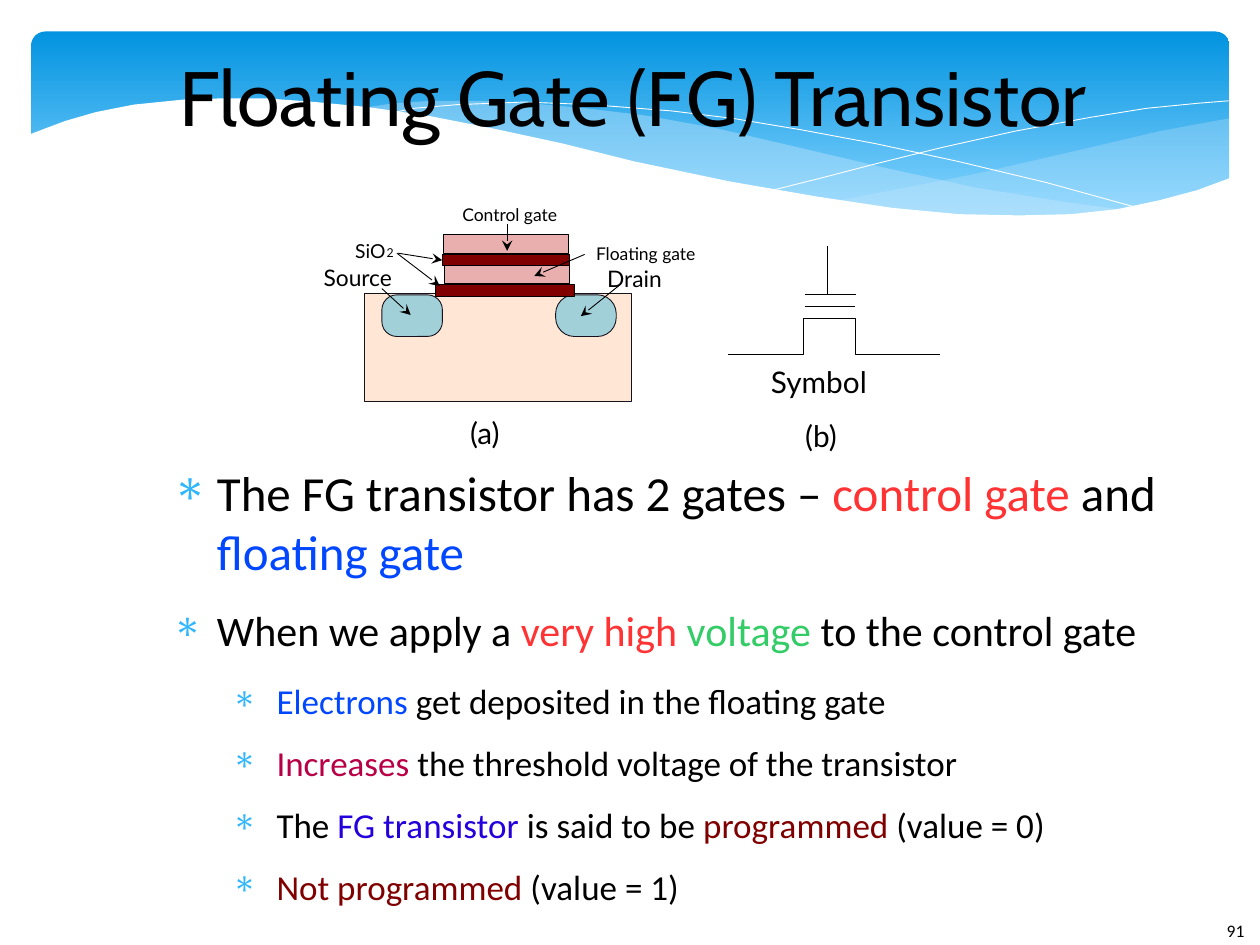
import pptx
import pptx.util
import pptx.dml.color
import pptx.enum.shapes
import pptx.enum.text
import pptx.oxml.ns
import lxml.etree

Pt = pptx.util.Pt
RGB = pptx.dml.color.RGBColor.from_string
SHAPE = pptx.enum.shapes.MSO_SHAPE
qn = pptx.oxml.ns.qn

THEME = {
    "black": "000000", "white": "FFFFFF", "outline": "15111D",
    "sky_top": "0293E0", "sky_bottom": "83D3FE", "wave": "C6E7FC", "bullet": "31B6FD",
    "wafer": "FFE6D5", "well": "A2D0D9", "oxide": "800000", "gate": "E9AFAF",
    "red": "FF3333", "blue": "0047FF", "green": "33CC66", "crimson": "B80047",
    "indigo": "2300DC", "maroon": "800000",
    "title_font": "Cabin", "body_font": "Calibri", "label_font": "Lato",
    "title": 44, "lead": 28, "point": 24, "detail": 20,
    "caption": 17, "region": 13, "formula": 11, "small": 10, "subscript": 7,
    "hairline": 0.5,
}

presentation = pptx.Presentation()
presentation.slide_width, presentation.slide_height = Pt(720), Pt(540)
slide = presentation.slides.add_slide(presentation.slide_layouts[1])
shapes = slide.shapes
title, body = slide.placeholders


def add_label(text, left, top, width, height, size, font="label_font"):
    box = shapes.add_textbox(Pt(left), Pt(top), Pt(width), Pt(height))
    frame = box.text_frame
    frame.word_wrap = True
    frame.margin_left = frame.margin_top = frame.margin_right = frame.margin_bottom = 0
    paragraph = frame.paragraphs[0]
    paragraph.text = text
    paragraph.font.name = THEME[font]
    paragraph.font.size = Pt(THEME[size])
    paragraph.font.color.rgb = RGB(THEME["black"])


def add_line(x1, y1, x2, y2, arrow=False):
    connector = shapes.add_connector(
        pptx.enum.shapes.MSO_CONNECTOR.STRAIGHT, Pt(x1), Pt(y1), Pt(x2), Pt(y2))
    connector.line.color.rgb = RGB(THEME["black"])
    connector.line.width = Pt(THEME["hairline"])
    if arrow:
        lxml.etree.SubElement(connector.line._get_or_add_ln(), qn("a:tailEnd"), type="stealth")
    lxml.etree.SubElement(connector._element.spPr, qn("a:effectLst"))
    return connector


# Banner
banner = shapes.add_shape(SHAPE.ROUNDED_RECTANGLE, Pt(18), Pt(18), Pt(684.5), Pt(112.5))
banner.adjustments[0] = 0.07
banner.shadow.inherit = False
banner.line.fill.background()
banner.fill.gradient()
banner.fill.gradient_angle = 270
for stop, color, position in zip(banner.fill.gradient_stops, ("sky_top", "sky_bottom"), (0, 0.9)):
    stop.color.rgb = RGB(THEME[color])
    stop.position = position

right_wave = [
    (702, 67.7), (663, 74.9), (620, 85), (561, 98.6), (525, 105.8), (476, 115.2),
    (508, 118.8), (536, 121.7), (562, 123.8), (593, 123.8), (621, 122.4), (652, 117.4),
    (678, 110.9), (703, 101.5), (703, 67.7)]
middle_wave = [
    (643, 120.2), (602.6, 114.5), (558, 107.3), (508.3, 96.5), (452.9, 83.5), (409.7, 73.4),
    (370, 66.2), (334.8, 61.9), (302.4, 59), (273.6, 57.6), (247.7, 57.6), (225.4, 59),
    (205.9, 61.9), (232.6, 64.8), (260.6, 69.8), (290.9, 76.3), (323.3, 83.5), (381.6, 97.2),
    (420.5, 105.1), (456.5, 112.3), (489.6, 117.4), (519.8, 121), (547.9, 123.1),
    (573, 124.6), (596, 124.6), (617, 123.1)]
falling_line = [
    (222.5, 64.8), (236.2, 61.9), (261.4, 59.8), (299.5, 58.3), (337.7, 59.8), (383.8, 63.4),
    (419, 67.7), (457.9, 74.2), (500.4, 82.1), (547.2, 92.2), (598.3, 104.4), (653, 119.5)]
rising_line = [
    (441.4, 108.7), (470.2, 101.5), (500.4, 93.6), (538.6, 84.2), (580.3, 74.9),
    (623.5, 67), (655.2, 61.9), (684.7, 59), (702, 57.6)]
page_edge = [
    (703.4, 101.5), (684, 108.7), (662.4, 114.5), (638.6, 119.5), (612, 122.4), (582.5, 123.1),
    (547.9, 122.4), (509.8, 118.8), (466.6, 112.3), (416.9, 103.7), (362.2, 92.2),
    (321.8, 82.1), (281.5, 73.4), (244.8, 66.2), (210.2, 61.2), (180, 58.3), (151.9, 56.2),
    (127.4, 56.2), (105.1, 56.9), (76.3, 59.8), (54.7, 64.1), (37.4, 69.1), (25.9, 73.4),
    (16.6, 77), (16.6, 161.3), (703.4, 161.3)]
symbol_channel = [
    (416.2, 202.6), (459.2, 202.6), (459.2, 181.9), (488.9, 181.9), (488.9, 202.6), (537.1, 202.6)]

# Points, fill, opacity in percent, line
outlines = [
    (right_wave, "wave", 29, None),
    (middle_wave, "wave", 40, None),
    (falling_line, None, 100, "white"),
    (rising_line, None, 100, "white"),
    (page_edge, "white", 100, None),
    (symbol_channel, None, 100, "black"),
]
for points, fill, opacity, line in outlines:
    vertices = [(Pt(x), Pt(y)) for x, y in points]
    builder = shapes.build_freeform(*vertices[0])
    builder.add_line_segments(vertices[1:], close=fill is not None)
    outline = builder.convert_to_shape()
    outline.shadow.inherit = False
    if fill:
        outline.fill.solid()
        outline.fill.fore_color.rgb = RGB(THEME[fill])
        color_element = outline._element.spPr.find(".//" + qn("a:srgbClr"))
        lxml.etree.SubElement(color_element, qn("a:alpha"), val=str(opacity * 1000))
        outline.line.fill.background()
    else:
        outline.fill.background()
        outline.line.color.rgb = RGB(THEME[line])
        outline.line.width = Pt(THEME["hairline"])

# Title and list stand in front of the banner
for placeholder, left, top, width, height in (
        (title, 69.8, 18, 584, 73.4), (body, 90, 264.2, 597.6, 252)):
    shapes._spTree.append(placeholder._element)
    placeholder.left, placeholder.top = Pt(left), Pt(top)
    placeholder.width, placeholder.height = Pt(width), Pt(height)
    frame = placeholder.text_frame
    frame.margin_left = frame.margin_top = frame.margin_right = frame.margin_bottom = 0
    frame.auto_size = pptx.enum.text.MSO_AUTO_SIZE.NONE

title.text_frame.vertical_anchor = pptx.enum.text.MSO_ANCHOR.MIDDLE
heading = title.text_frame.paragraphs[0]
heading.text = "Floating Gate (FG) Transistor"
heading.alignment = pptx.enum.text.PP_ALIGN.CENTER
heading.font.name = THEME["title_font"]
heading.font.size = Pt(THEME["title"])
heading.font.color.rgb = RGB(THEME["black"])

bullets = [
    (0, "lead", [("The FG transistor has 2 gates – ", "black"), ("control gate", "red"),
                 (" and ", "black"), ("floating gate", "blue")]),
    (0, "point", [("When we apply a ", "black"), ("very high ", "red"), ("voltage", "green"),
                  (" to the control gate", "black")]),
    (1, "detail", [("Electrons", "blue"), (" get deposited in the floating gate", "black")]),
    (1, "detail", [("Increases", "crimson"), (" the threshold voltage of the transistor", "black")]),
    (1, "detail", [("The ", "black"), ("FG transistor", "indigo"), (" is said to be ", "black"),
                   ("programmed", "maroon"), (" (value = 0)", "black")]),
    (1, "detail", [("Not programmed", "maroon"), (" (value = 1)", "black")]),
]
for index, (level, size, pieces) in enumerate(bullets):
    paragraph = body.text_frame.add_paragraph() if index else body.text_frame.paragraphs[0]
    paragraph.level = level
    paragraph.space_before = Pt(0)
    paragraph.space_after = Pt(11.3 if level else 14.1)
    properties = paragraph._p.get_or_add_pPr()
    properties.set("marL", str(Pt(34 * (level + 1))))
    properties.set("indent", str(Pt(-25.5)))
    bullet_color = lxml.etree.SubElement(properties, qn("a:buClr"))
    lxml.etree.SubElement(bullet_color, qn("a:srgbClr"), val=THEME["bullet"])
    lxml.etree.SubElement(properties, qn("a:buFont"), typeface="Symbol")
    lxml.etree.SubElement(properties, qn("a:buChar"), char="∗")
    paragraph.font.name = THEME["body_font"]
    paragraph.font.size = Pt(THEME[size])
    for text, color in pieces:
        run = paragraph.add_run()
        run.text = text
        run.font.color.rgb = RGB(THEME[color])

# Cross-section of the transistor: left, top, width, height, corner, fill, line
layers = [
    (208.1, 167.8, 152.6, 61.9, 0, "wafer", "outline"),
    (218.2, 168.5, 34.6, 23.8, 0.36, "well", "outline"),
    (317.5, 168.5, 34.6, 23.8, 0.45, "well", "outline"),
    (249.1, 162.7, 79.2, 6.5, 0, "oxide", "black"),
    (254.2, 151.2, 71.3, 10.8, 0, "gate", "black"),
    (253.4, 133.9, 71.3, 10.8, 0, "gate", "black"),
    (252.7, 145.4, 72.7, 6.5, 0, "oxide", "black"),
]
for left, top, width, height, corner, fill, line in layers:
    kind = SHAPE.ROUNDED_RECTANGLE if corner else SHAPE.RECTANGLE
    layer = shapes.add_shape(kind, Pt(left), Pt(top), Pt(width), Pt(height))
    if corner:
        layer.adjustments[0] = corner
    layer.shadow.inherit = False
    layer.fill.solid()
    layer.fill.fore_color.rgb = RGB(THEME[fill])
    layer.line.color.rgb = RGB(THEME[line])
    layer.line.width = Pt(THEME["hairline"])
upper_oxide = layer

for ends in (
        (218.2, 164.9, 234.7, 180), (353.5, 163.4, 331.9, 180.7), (226.8, 144.7, 251.3, 163.4),
        (334.1, 145.4, 305.3, 157.7), (289.8, 128.2, 289.8, 143.3)):
    add_line(*ends, arrow=True)
add_line(227.5, 144.7, 252.7, 148.6, arrow=True).end_connect(upper_oxide, 1)

# Gate lines of the symbol
for ends in ((460.1, 175, 488.5, 175), (460.1, 168.2, 488.9, 168.2), (473, 167.8, 473, 140.4)):
    add_line(*ends)

for label in (
        ("Source", 185, 150.5, 46.8, 17.3, "region"),
        ("Drain", 347, 151.2, 36.7, 17.3, "region"),
        ("SiO", 203, 136.8, 23, 15.1, "formula"),
        ("2", 221, 140.4, 7.2, 10.1, "subscript"),
        ("Floating gate", 340.6, 139, 61.9, 13, "small"),
        ("Control gate", 264.2, 116.6, 58.3, 13, "small"),
        ("Symbol", 440.6, 208.1, 67.7, 24.5, "caption"),
        ("(a)", 268.6, 236.9, 30.2, 24.5, "caption"),
        ("(b)", 460.1, 239, 30.2, 24.5, "caption"),
        ("91", 701, 525.6, 19, 14, "small", "body_font")):
    add_label(*label)

presentation.save("out.pptx")
